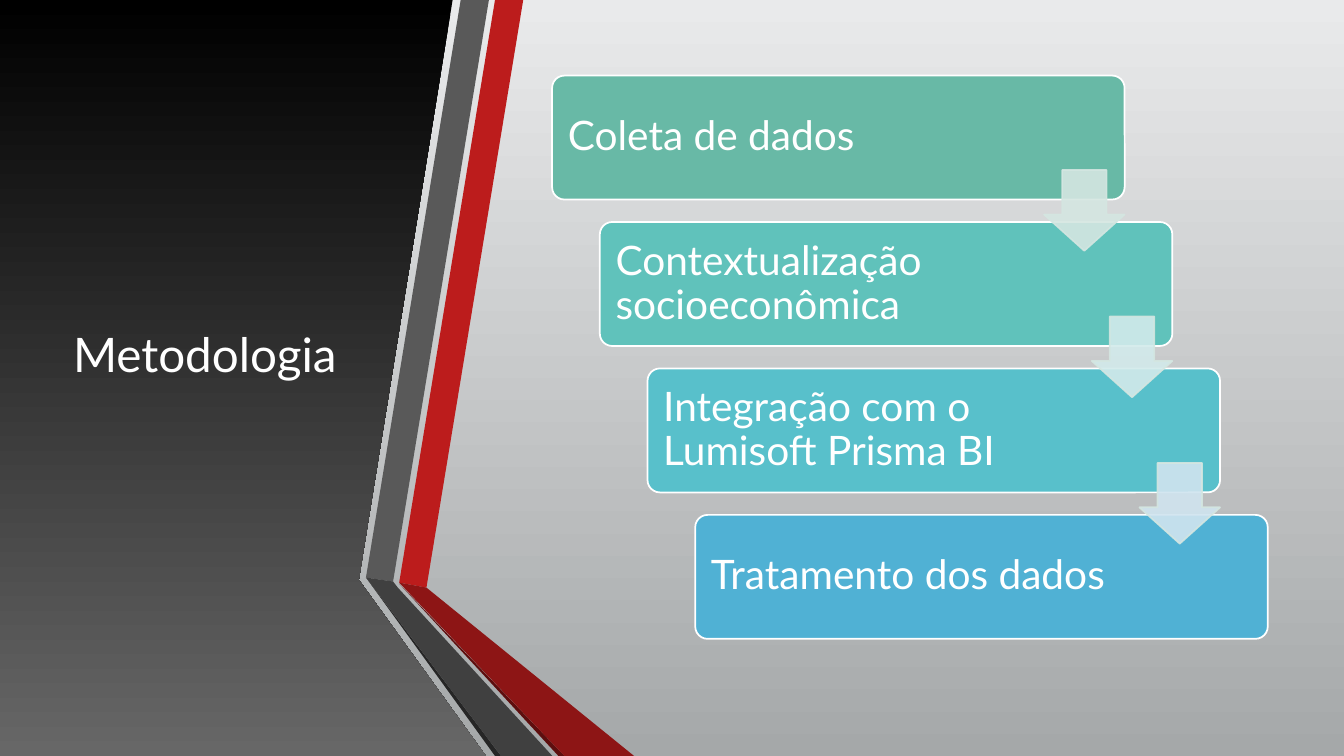
import pptx
import pptx.util
import pptx.dml.color
import pptx.enum.shapes
import pptx.enum.text
import pptx.oxml
import pptx.oxml.ns
from dataclasses import dataclass

SHAPE = pptx.enum.shapes.MSO_SHAPE
ALIGN = pptx.enum.text.PP_ALIGN
MIDDLE = pptx.enum.text.MSO_ANCHOR.MIDDLE


@dataclass(frozen=True)
class Theme:
    """Colours, font and type sizes of the slide."""
    font: str = "Lato"
    title: int = 34
    body: int = 29
    edge: float = 1.25
    opaque: int = 90
    white: str = "FFFFFF"
    back: tuple = ("E9EAEB", "A5A8A9")
    panel: tuple = ("000000", "676767")
    red: str = "BC1C1C"
    red_low: str = "8D1515"
    red_dim: str = "5E0E0E"
    gray: str = "595959"
    gray_low: str = "404040"
    gray_dim: str = "262626"
    steps: tuple = ("68B9A6", "60C2BB", "58C0CB", "50B1D4")
    arrows: tuple = ("D4E6E1", "D2EAEB", "D0E4EF")


def tint(code):
    """Turn a hex code into a colour."""
    return pptx.dml.color.RGBColor.from_string(code)


def fade(shape, share):
    """Make fill and line partly clear; share is the opaque percent."""
    for node in shape.element.spPr.iter(pptx.oxml.ns.qn("a:srgbClr")):
        node.append(pptx.oxml.parse_xml(
            f'<a:alpha {pptx.oxml.ns.nsdecls("a")} val="{share * 1000}"/>'))


class Board:
    """Draws on one slide, over a grid of 100 columns and 100 rows."""

    def __init__(self, deck, theme):
        """Add a blank slide and paint its background."""
        self.theme = theme
        self.col = deck.slide_width / 100
        self.row = deck.slide_height / 100
        self.slide = deck.slides.add_slide(deck.slide_layouts[6])
        self.shapes = self.slide.shapes
        self.paint(self.slide.background.fill, theme.back)

    def spot(self, x, y):
        """Turn a column and a row into lengths."""
        return round(x * self.col), round(y * self.row)

    def paint(self, fill, color):
        """Fill with one colour, or with a pair from top to bottom."""
        if isinstance(color, str):
            fill.solid()
            fill.fore_color.rgb = tint(color)
            return
        fill.gradient()
        fill.gradient_angle = 270
        for stop, code in zip(fill.gradient_stops, color):
            stop.color.rgb = tint(code)

    def facet(self, color, *points):
        """Draw a closed outline without a line."""
        first, *rest = [self.spot(*point) for point in points]
        pen = self.shapes.build_freeform(*first)
        pen.add_line_segments(rest, close=True)
        shape = pen.convert_to_shape()
        shape.shadow.inherit = False
        self.paint(shape.fill, color)
        shape.line.fill.background()

    def block(self, kind, box, color, edge, *adjust):
        """Draw a preset shape with a thin edge."""
        x, y, wide, high = box
        shape = self.shapes.add_shape(
            kind, *self.spot(x, y), *self.spot(wide, high))
        shape.shadow.inherit = False
        for rank, value in enumerate(adjust):
            shape.adjustments[rank] = value
        self.paint(shape.fill, color)
        self.paint(shape.line.fill, edge)
        shape.line.width = pptx.util.Pt(self.theme.edge)
        return shape

    def label(self, shape, text, size, align):
        """Put one white paragraph, centred in height, into a shape."""
        frame = shape.text_frame
        frame.word_wrap = True
        frame.vertical_anchor = MIDDLE
        para = frame.paragraphs[0]
        para.text = text
        para.alignment = align
        para.line_spacing = 0.9
        para.font.name = self.theme.font
        para.font.size = pptx.util.Pt(size)
        para.font.color.rgb = tint(self.theme.white)
        return frame

    def title(self, text, x, y, wide, high):
        """Add the slide's title."""
        shape = self.shapes.add_textbox(
            *self.spot(x, y), *self.spot(wide, high))
        self.label(shape, text, self.theme.title, ALIGN.CENTER)

    def step(self, text, box, color):
        """Draw a step, with room on its right for the arrow."""
        shape = self.block(SHAPE.ROUNDED_RECTANGLE, box, color,
                           self.theme.white, 0.1)
        frame = self.label(shape, text, self.theme.body, ALIGN.LEFT)
        frame.margin_left, frame.margin_top = self.spot(0.9, 1.6)
        frame.margin_right, frame.margin_bottom = self.spot(10.4, 1.6)

    def arrow(self, box, color):
        """Draw a slightly clear arrow that points down."""
        shape = self.block(SHAPE.DOWN_ARROW, box, color,
                           self.theme.arrows[0], 0.55, 0.45)
        fade(shape, self.theme.opaque)


def ribbon(board):
    """Draw the dark panel and the folded bands at its side."""
    look = board.theme
    board.facet(look.panel, (0, 0), (33.68, 0), (26.7, 76.7),
                (36.15, 100), (0, 100))
    board.facet(look.red, (29.7, 77.07), (31.73, 77.73),
                (38.93, 0), (36.83, 0))
    board.facet(look.gray, (36.38, 0), (34.28, 0),
                (27.23, 76.4), (29.25, 76.93))
    board.facet(look.gray_dim, (27.23, 76.4), (36.83, 100), (37.28, 100))
    board.facet(look.red_dim, (29.7, 77.2), (41.55, 100), (42, 100))
    board.facet(look.red_low, (29.7, 77.07), (42, 100),
                (47.18, 100), (31.73, 77.73))
    board.facet(look.gray_low, (41.1, 100), (29.6, 77.73), (29.25, 76.93),
                (27.23, 76.4), (37.28, 100))


def stairs(board, names):
    """Draw the steps, each lower and further right, then the arrows."""
    left, top, right, down = 41.08, 10, 3.55, 19.37
    spots = [(left + i * right, top + i * down) for i in range(len(names))]
    for name, (x, y), color in zip(names, spots, board.theme.steps):
        board.step(name, (x, y, 42.6, 16.4), color)
    for (x, y), color in zip(spots, board.theme.arrows):
        board.arrow((x + 36.6, y + 12.5, 6, 10.67), color)


def main():
    """Build the deck and save it."""
    deck = pptx.Presentation()
    deck.slide_width = pptx.util.Inches(13.33)
    deck.slide_height = pptx.util.Inches(7.5)
    board = Board(deck, Theme())
    ribbon(board)
    board.title("Metodologia", 4.4, 10, 21.7, 74.4)
    stairs(board, ["Coleta de dados",
                   "Contextualização socioeconômica",
                   "Integração com o Lumisoft Prisma BI",
                   "Tratamento dos dados"])
    deck.save("out.pptx")


main()
